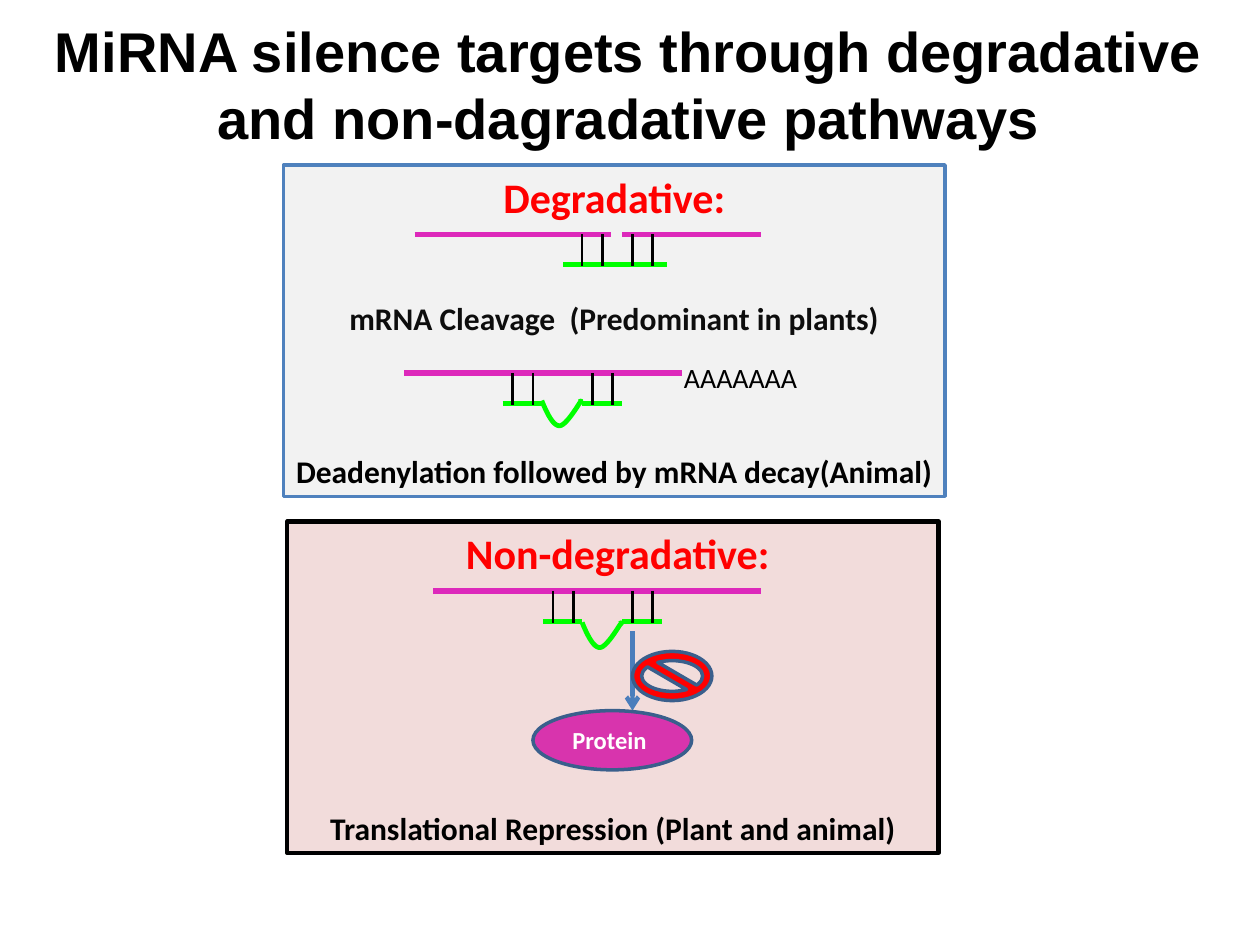
"""Build a slide on the degradative and non-degradative pathways of miRNA silencing."""
import lxml.etree
import pptx
import pptx.dml.color
import pptx.enum.shapes
import pptx.enum.text
import pptx.oxml.ns
import pptx.util

COLUMNS, ROWS = 1000, 750
COLORS = {
    "black": "000000", "ink": "0D0D0D", "red": "FF0000", "white": "FFFFFF",
    "blue": "4F81BD", "arrow": "4B7EBC", "navy": "3A5F8C",
    "grey": "F2F2F2", "rose": "F2DCDB",
    "mrna": "DD29BB", "mirna": "00FF00", "protein": "D834AD",
}
HEADING = {"size": 24, "bold": True, "name": "Calibri"}
CAPTION = {"size": 18, "bold": True, "name": "Calibri"}
TITLE = "MiRNA silence targets through degradative and non-dagradative pathways"
BLANK_LINE = 22
PANELS = [
    {"box": (228, 414, 517, 263), "fill": "rose", "line": ("black", 2.5), "lines": [
        (" Non-degradative:", HEADING, "red", 0),
        ("Translational Repression (Plant and animal)", CAPTION, "black", 6)]},
    {"box": (225, 131, 525, 263), "fill": "grey", "line": ("blue", 2), "lines": [
        ("Degradative:", HEADING, "red", 0),
        ("mRNA Cleavage  (Predominant in plants)", CAPTION, "ink", 2),
        ("Deadenylation followed by mRNA decay(Animal)", CAPTION, "black", 3)]},
]
DUPLEXES = [
    {"row": 186, "mrna": [(329, 485), (494, 604)], "mirna": [(447, 529)],
     "pairs": (462, 502), "bulge": None},
    {"row": 296, "mrna": [(321, 541)], "mirna": [(399, 431), (462, 494)],
     "pairs": (407, 470), "bulge": (430, 318)},
    {"row": 469, "mrna": [(344, 604)], "mirna": [(431, 462), (494, 525)],
     "pairs": (439, 502), "bulge": (462, 494)},
]
STRAND_GAP, RUNG_LENGTH, RUNG_STEP = 24, 25.5, 16
BULGE_CURVES = [
    [(0, 0), (4, 10), (9, 20), (14, 20)],
    [(14, 20), (19, 20), (28, 5), (30, 2)],
    [(30, 2), (33, -1), (30, 1), (29.5, 1)],
]
CURVE_STEPS = 12

deck = pptx.Presentation()
deck.slide_width, deck.slide_height = pptx.util.Inches(10), pptx.util.Inches(7.5)
slide = deck.slides.add_slide(deck.slide_layouts[6])


def grid(*values):
    """Turn alternating column and row numbers into slide lengths."""
    units = (deck.slide_width / COLUMNS, deck.slide_height / ROWS)
    return [round(value * units[index % 2]) for index, value in enumerate(values)]


def color(name):
    """Look up a named colour."""
    return pptx.dml.color.RGBColor.from_string(COLORS[name])


def outline(item, name, width):
    """Give a shape or connector a solid line."""
    item.line.color.rgb = color(name)
    item.line.width = pptx.util.Pt(width)


def write(frame, lines, align="CENTER", anchor="TOP"):
    """Write lines of text, each below its number of free lines."""
    layout = {"word_wrap": True,
              "vertical_anchor": getattr(pptx.enum.text.MSO_ANCHOR, anchor)}
    for attribute, value in layout.items():
        setattr(frame, attribute, value)
    for index, (text, style, ink, free_lines) in enumerate(lines):
        paragraph = frame.add_paragraph() if index else frame.paragraphs[0]
        paragraph.alignment = getattr(pptx.enum.text.PP_ALIGN, align)
        paragraph.space_before = pptx.util.Pt(free_lines * BLANK_LINE)
        run = paragraph.add_run()
        run.text = text
        for attribute, value in style.items():
            setattr(run.font, attribute, pptx.util.Pt(value) if attribute == "size" else value)
        run.font.color.rgb = color(ink)


def add_label(box, *line, **layout):
    """Add a text box with one line of text."""
    write(slide.shapes.add_textbox(*grid(*box)).text_frame, [line], **layout)


def add_figure(kind, box, fill, line):
    """Add a filled preset shape."""
    figure = slide.shapes.add_shape(getattr(pptx.enum.shapes.MSO_SHAPE, kind), *grid(*box))
    figure.shadow.inherit = False
    figure.fill.solid()
    figure.fill.fore_color.rgb = color(fill)
    outline(figure, *line)
    return figure


def add_line(ends, name, width, arrow=False):
    """Add a straight line, with an arrowhead at its end if asked."""
    line = slide.shapes.add_connector(pptx.enum.shapes.MSO_CONNECTOR.STRAIGHT, *grid(*ends))
    outline(line, name, width)
    if arrow:
        head = lxml.etree.SubElement(line.line._get_or_add_ln(), pptx.oxml.ns.qn("a:tailEnd"))
        head.set("type", "arrow")
    lxml.etree.SubElement(line._element.spPr, pptx.oxml.ns.qn("a:effectLst"))


def bezier(points, t):
    """Find the point at share t of a cubic curve."""
    weights = ((1 - t) ** 3, 3 * t * (1 - t) ** 2, 3 * t * t * (1 - t), t ** 3)
    return [sum(w * p[axis] for w, p in zip(weights, points)) for axis in (0, 1)]


def add_bulge(column, row):
    """Add the unpaired loop of the miRNA strand."""
    loop = [grid(column + x, row + y) for curve in BULGE_CURVES
            for x, y in (bezier(curve, step / CURVE_STEPS) for step in range(1, CURVE_STEPS + 1))]
    builder = slide.shapes.build_freeform(*grid(column, row))
    builder.add_line_segments(loop, close=False)
    bulge = builder.convert_to_shape()
    bulge.shadow.inherit = False
    bulge.fill.background()
    outline(bulge, "mirna", 2.75)


def add_duplex(row, mrna, mirna, pairs, bulge):
    """Add an mRNA strand paired with a miRNA strand."""
    for strands, name, level in ((mrna, "mrna", row), (mirna, "mirna", row + STRAND_GAP)):
        for start, end in strands:
            add_line((start, level, end, level), name, 3)
    if bulge:
        add_bulge(*bulge)
    for pair in pairs:
        for rung in (pair, pair + RUNG_STEP):
            add_line((rung, row, rung, row + RUNG_LENGTH), "black", 1.5)


for panel in PANELS:
    write(add_figure("RECTANGLE", panel["box"], panel["fill"], panel["line"]).text_frame,
          panel["lines"])
add_label((-1, 0, 1000, 133), TITLE, {"size": 32, "bold": True, "name": "Arial"}, "black", 0,
          anchor="MIDDLE")
add_label((533, 281, 122, 37), "AAAAAAA", {"size": 16, "name": "Calibri"}, "black", 0,
          align="LEFT")
add_line((502, 501, 502, 564), "arrow", 2.5, arrow=True)
protein = add_figure("OVAL", (423, 564, 126, 47), "protein", ("navy", 2))
write(protein.text_frame, [("Protein ", {**HEADING, "size": 14}, "white", 0)], anchor="MIDDLE")
add_figure("NO_SYMBOL", (502, 517, 63, 39), "red", ("navy", 2))
for duplex in DUPLEXES:
    add_duplex(**duplex)

deck.save("out.pptx")
